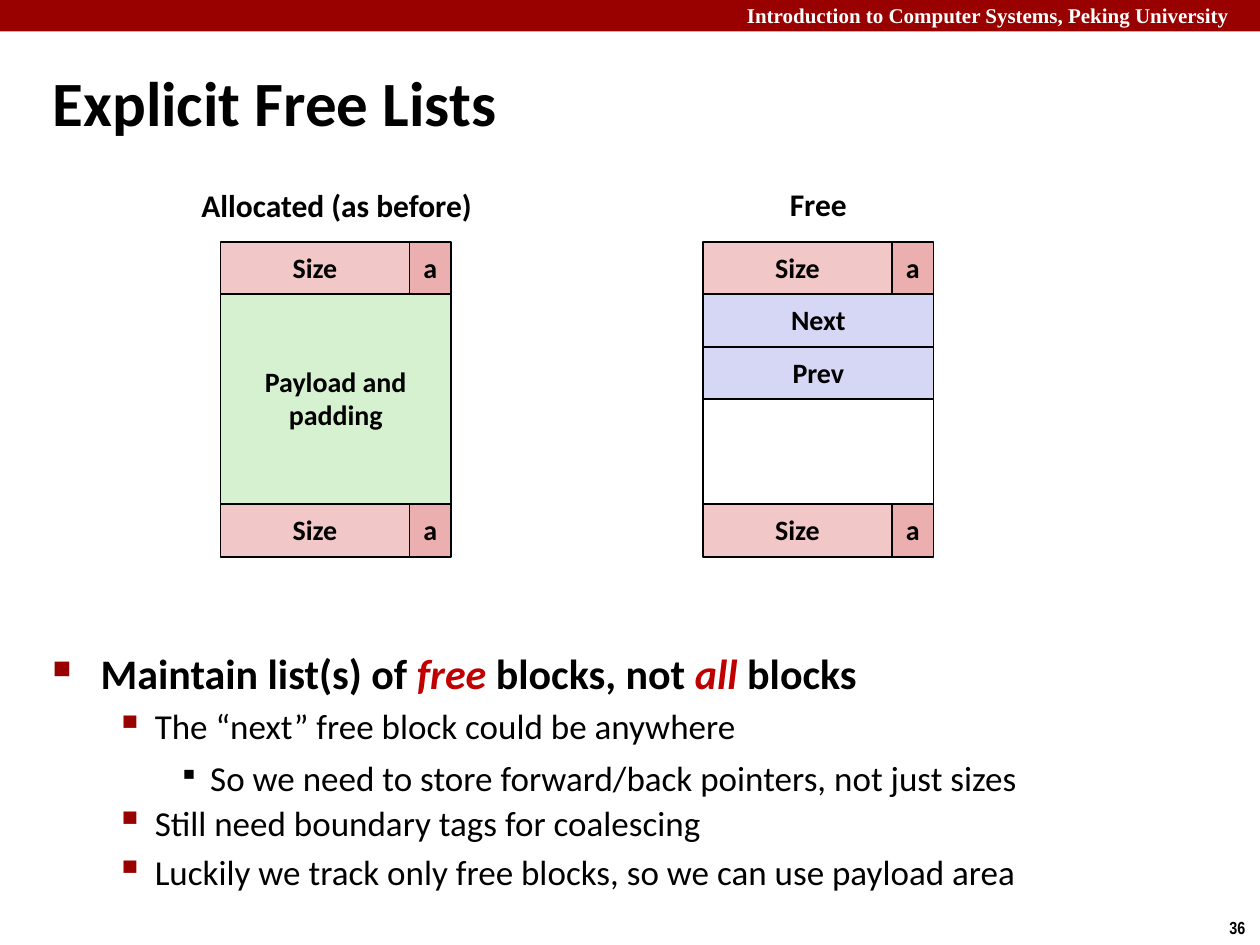
from dataclasses import dataclass
from typing import Optional

import lxml.etree
import pptx
import pptx.dml.color
import pptx.enum.shapes
import pptx.enum.text
import pptx.oxml.ns
import pptx.util

Inches = pptx.util.Inches
Pt = pptx.util.Pt

COLORS = {
    "black": "000000",
    "white": "FFFFFF",
    "banner": "990000",
    "emphasis": "C00000",
    "size": "F1C7C7",
    "flag": "EBAFAF",
    "payload": "D5F1CF",
    "pointer": "D6D6F5",
}

BLOCK_TOP = 1.92
ROW_HEIGHT = 5 / 12
SIZE_WIDTH = 1.5
FLAG_WIDTH = 0.33
BLOCK_WIDTH = SIZE_WIDTH + FLAG_WIDTH
FOOTER_ROW = 5


@dataclass
class Label:
    text: str
    left: float
    top: float
    width: float
    height: float
    size: float
    font: str = "Calibri"
    color: str = "black"
    wrap: bool = False
    middle: bool = False
    line_spacing: Optional[float] = None


@dataclass
class Field:
    text: str
    row: int
    rows: int
    color: str
    offset: float = 0
    width: float = BLOCK_WIDTH


@dataclass
class Block:
    left: float
    fields: list[Field]


@dataclass
class Level:
    margin: float
    hanging: float
    bullet: str
    bullet_color: str
    bullet_percent: int
    size: float
    bold: bool


@dataclass
class Point:
    level: Level
    phrases: list[tuple[str, bool]]
    line_spacing: float = 1.0
    space_before: float = 4


def rgb(color: str) -> pptx.dml.color.RGBColor:
    return pptx.dml.color.RGBColor.from_string(COLORS[color])


def set_font(font, size: float, name: str = "Calibri", color: Optional[str] = "black", bold: bool = True) -> None:
    font.size = Pt(size)
    font.name = name
    font.bold = bold
    if color:
        font.color.rgb = rgb(color)


def add_box(slide, left: float, top: float, width: float, height: float, color: str, outlined: bool = True):
    box = slide.shapes.add_shape(
        pptx.enum.shapes.MSO_SHAPE.RECTANGLE, Inches(left), Inches(top), Inches(width), Inches(height)
    )
    box.shadow.inherit = False
    box.fill.solid()
    box.fill.fore_color.rgb = rgb(color)
    if outlined:
        box.line.color.rgb = rgb("black")
        box.line.width = Pt(1)
    else:
        box.line.fill.background()
    return box


def add_label(slide, label: Label) -> None:
    frame = slide.shapes.add_textbox(
        Inches(label.left), Inches(label.top), Inches(label.width), Inches(label.height)
    ).text_frame
    frame.word_wrap = label.wrap
    if label.middle:
        frame.vertical_anchor = pptx.enum.text.MSO_ANCHOR.MIDDLE
    paragraph = frame.paragraphs[0]
    paragraph.text = label.text
    if label.line_spacing:
        paragraph.line_spacing = label.line_spacing
    set_font(paragraph.font, label.size, label.font, label.color)


def add_block(slide, block: Block) -> None:
    for field in block.fields:
        box = add_box(
            slide,
            block.left + field.offset,
            BLOCK_TOP + field.row * ROW_HEIGHT,
            field.width,
            field.rows * ROW_HEIGHT,
            field.color,
        )
        if not field.text:
            continue
        frame = box.text_frame
        frame.word_wrap = False
        frame.vertical_anchor = pptx.enum.text.MSO_ANCHOR.MIDDLE
        frame.text = field.text
        for paragraph in frame.paragraphs:
            paragraph.alignment = pptx.enum.text.PP_ALIGN.CENTER
            paragraph.line_spacing = 0.98
            set_font(paragraph.font, 16)


def add_bullet(paragraph, level: Level) -> None:
    qn = pptx.oxml.ns.qn
    properties = paragraph._p.get_or_add_pPr()
    properties.set("marL", str(Inches(level.margin)))
    properties.set("indent", str(-Inches(level.hanging)))
    bullet_color = lxml.etree.SubElement(properties, qn("a:buClr"))
    lxml.etree.SubElement(bullet_color, qn("a:srgbClr"), val=COLORS[level.bullet_color])
    lxml.etree.SubElement(properties, qn("a:buSzPct"), val=str(level.bullet_percent * 1000))
    lxml.etree.SubElement(properties, qn("a:buChar"), char=level.bullet)


def add_points(slide, points: list[Point]) -> None:
    frame = slide.shapes.add_textbox(Inches(0.32), Inches(5.15), Inches(9.09), Inches(2.02)).text_frame
    frame.word_wrap = True
    for index, point in enumerate(points):
        paragraph = frame.add_paragraph() if index else frame.paragraphs[0]
        paragraph.line_spacing = point.line_spacing
        paragraph.space_before = Pt(point.space_before)
        add_bullet(paragraph, point.level)
        mixed = len(point.phrases) > 1
        set_font(paragraph.font, point.level.size, color=None if mixed else "black", bold=point.level.bold)
        for text, emphasized in point.phrases:
            run = paragraph.add_run()
            run.text = text
            if mixed:
                run.font.italic = emphasized
                run.font.color.rgb = rgb("emphasis" if emphasized else "black")


def tag_fields(row: int) -> list[Field]:
    return [
        Field("Size", row, 1, "size", width=SIZE_WIDTH),
        Field("a", row, 1, "flag", offset=SIZE_WIDTH, width=FLAG_WIDTH),
    ]


def main() -> None:
    presentation = pptx.Presentation()
    presentation.slide_width = Inches(10)
    presentation.slide_height = Inches(7.5)
    slide = presentation.slides.add_slide(presentation.slide_layouts[6])

    add_box(slide, 0, 0, 10, 0.25, "banner", outlined=False)
    labels = [
        Label("Introduction to Computer Systems, Peking University", 5.83, -0.03, 4.24, 0.3, 12,
              "Times New Roman", "white", wrap=True),
        Label("36", 9.66, 7.23, 0.34, 0.27, 10, "Arial Narrow"),
        Label("Explicit Free Lists", 0.32, 0.53, 6.64, 0.63, 36, wrap=True, middle=True, line_spacing=0.87),
        Label("Allocated (as before)", 1.5, 1.43, 2.37, 0.4, 18),
        Label("Free", 6.17, 1.42, 0.66, 0.4, 18),
    ]
    for label in labels:
        add_label(slide, label)

    allocated = [Field("Payload and\npadding", 1, 4, "payload")]
    free = [Field("Next", 1, 1, "pointer"), Field("Prev", 2, 1, "pointer"), Field("", 3, 2, "white")]
    for left, contents in ((1.75, allocated), (5.58, free)):
        add_block(slide, Block(left, tag_fields(0) + contents + tag_fields(FOOTER_ROW)))

    main_level = Level(0.38, 0.38, "■", "banner", 60, 24, True)
    sub_level = Level(0.81, 0.31, "▪", "banner", 110, 20, False)
    detail_level = Level(1.25, 0.25, "▪", "black", 80, 20, False)
    headline = [("Maintain list(s) of ", False), ("free", True), (" blocks, not ", False),
                ("all", True), (" blocks", False)]
    add_points(slide, [
        Point(main_level, headline, 0.85, 0),
        Point(sub_level, [("The “next” free block could be anywhere", False)]),
        Point(detail_level, [("So we need to store forward/back pointers, not just sizes", False)], 1.07),
        Point(sub_level, [("Still need boundary tags for coalescing", False)], 0.9),
        Point(sub_level, [("Luckily we track only free blocks, so we can use payload area", False)]),
    ])
    presentation.save("out.pptx")


if __name__ == "__main__":
    main()
